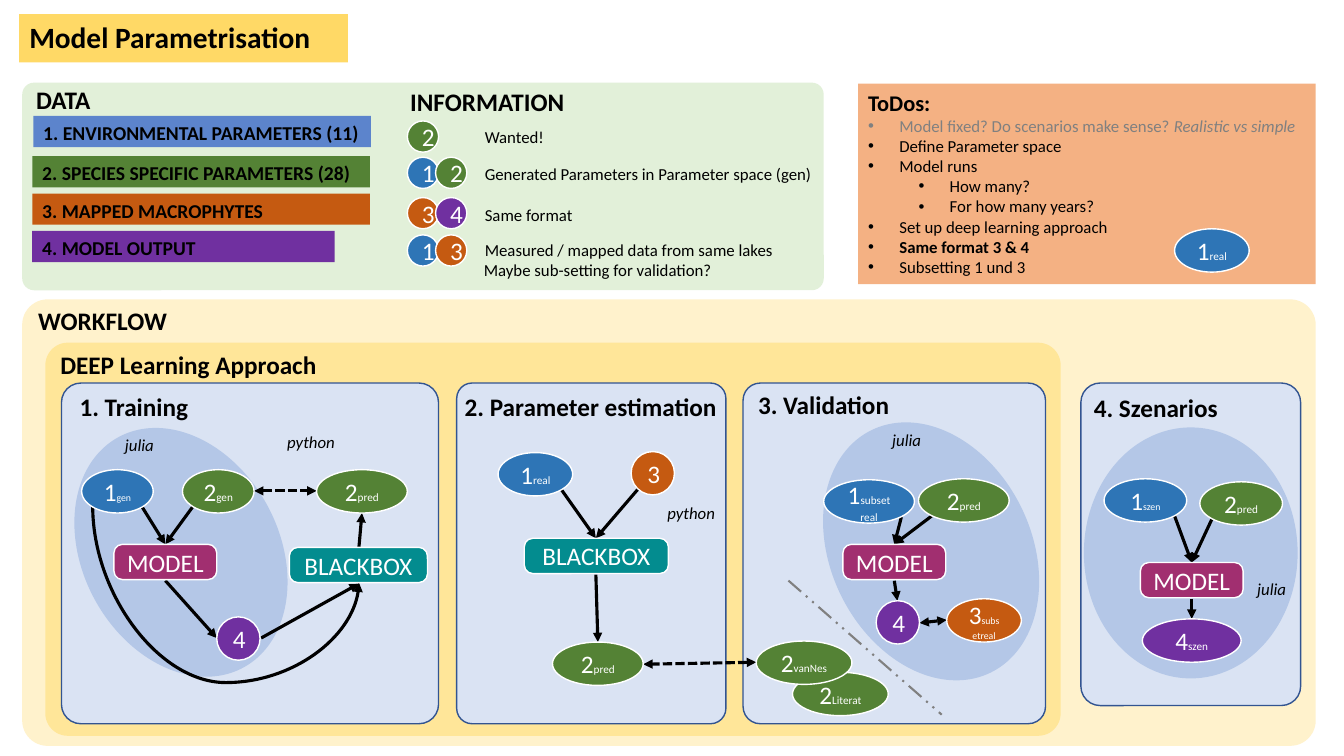
"""Build the model parametrisation slide with its data, tasks and workflow."""
from typing import NamedTuple, Optional

from pptx import Presentation
from pptx.dml.color import RGBColor
from pptx.enum.dml import MSO_LINE
from pptx.enum.shapes import MSO_CONNECTOR, MSO_SHAPE
from pptx.enum.text import MSO_ANCHOR, MSO_AUTO_SIZE, PP_ALIGN
from pptx.oxml.ns import qn
from pptx.util import Inches, Pt
from lxml.etree import SubElement

BLUE, GREEN, RUST, PURPLE = "2E75B6", "548235", "C55A11", "7030A0"
TEAL, PLUM, PALE, CLOUD = "038C8F", "A12F70", "DAE3F3", "B4C7E7"
BLACK, WHITE, GREY, NAVY = "000000", "FFFFFF", "808080", "325491"
HUES = {"1": BLUE, "2": GREEN, "3": RUST, "4": PURPLE}


class Panel(NamedTuple):
    x: float
    y: float
    w: float
    h: float
    fill: str
    edge: Optional[str] = None
    curve: float = 0.057


class Cloud(NamedTuple):
    x: float
    y: float
    w: float
    h: float
    turn: float = 0


class Bar(NamedTuple):
    x: float
    y: float
    w: float
    text: str
    fill: str


class Label(NamedTuple):
    x: float
    y: float
    w: float
    text: str
    size: int = 18
    bold: bool = False
    slant: bool = False


class Node(NamedTuple):
    x: float
    y: float
    w: float
    num: str
    sub: str = ""
    small: int = 8
    h: float = 0.43


class Box(NamedTuple):
    x: float
    y: float
    w: float
    text: str
    fill: str


class Link(NamedTuple):
    x: float
    y: float
    to_x: float
    to_y: float
    both: bool = False


class Task(NamedTuple):
    text: str
    level: int = 0
    bold: bool = False
    hue: str = BLACK
    tail: str = ""


def paint(code: str) -> RGBColor:
    return RGBColor.from_string(code)


def write(para, text: str, size: float, hue: str = BLACK, bold: bool = False, slant: bool = False) -> None:
    run = para.add_run()
    run.text = text
    font = run.font
    font.name, font.size, font.bold, font.italic = "Calibri", Pt(size), bold, slant
    font.color.rgb = paint(hue)


def place(shape, x: float, y: float, w: float, h: float) -> None:
    shape.left, shape.top, shape.width, shape.height = map(Inches, (x, y, w, h))


def draw(kind, x: float, y: float, w: float, h: float, fill: str, edge: Optional[str] = None):
    shape = slide.shapes.add_shape(kind, *map(Inches, (x, y, w, h)))
    shape.shadow.inherit = False
    shape.fill.solid()
    shape.fill.fore_color.rgb = paint(fill)
    if edge:
        shape.line.color.rgb = paint(edge)
        shape.line.width = Pt(1)
    else:
        shape.line.fill.background()
    return shape


def add_panel(p: Panel) -> None:
    shape = draw(MSO_SHAPE.ROUNDED_RECTANGLE, p.x, p.y, p.w, p.h, p.fill, p.edge)
    shape.adjustments[0] = p.curve


def add_bar(b: Bar) -> None:
    frame = draw(MSO_SHAPE.RECTANGLE, b.x, b.y, b.w, 0.31, b.fill).text_frame
    frame.vertical_anchor = MSO_ANCHOR.TOP
    frame.paragraphs[0].alignment = PP_ALIGN.LEFT
    write(frame.paragraphs[0], b.text, 14, bold=True)


def add_label(b: Label) -> None:
    high = 0.4 if b.size == 18 else 0.3
    frame = slide.shapes.add_textbox(*map(Inches, (b.x, b.y, b.w, high))).text_frame
    frame.word_wrap = False
    frame.auto_size = MSO_AUTO_SIZE.SHAPE_TO_FIT_TEXT
    write(frame.paragraphs[0], b.text, b.size, BLACK, b.bold, b.slant)


def centre(shape):
    shape.text_frame.vertical_anchor = MSO_ANCHOR.MIDDLE
    para = shape.text_frame.paragraphs[0]
    para.alignment = PP_ALIGN.CENTER
    return para


def add_node(n: Node) -> None:
    para = centre(draw(MSO_SHAPE.OVAL, n.x, n.y, n.w, n.h, HUES[n.num], WHITE))
    write(para, n.num, 18, WHITE)
    if n.sub:
        write(para, n.sub, n.small, WHITE)


def add_box(b: Box) -> None:
    shape = draw(MSO_SHAPE.ROUNDED_RECTANGLE, b.x, b.y, b.w, 0.35, b.fill, WHITE)
    shape.adjustments[0] = 0.243
    write(centre(shape), b.text, 18, WHITE)


def add_link(k: Link, kind=MSO_CONNECTOR.STRAIGHT, hue: str = BLACK, wide: float = 2.25, dash=None, ends=("tailEnd",)):
    link = slide.shapes.add_connector(kind, *map(Inches, k[:4]))
    link.line.color.rgb = paint(hue)
    link.line.width = Pt(wide)
    if k.both:
        dash, ends = MSO_LINE.SQUARE_DOT, ("headEnd", "tailEnd")
    if dash:
        link.line.dash_style = dash
    props = link.element.spPr
    for end in ends:
        SubElement(props.find(qn("a:ln")), qn(f"a:{end}")).set("type", "triangle")
    SubElement(props, qn("a:effectLst"))
    return link


def add_loop() -> None:
    props = add_link(Link(1.86, 4.08, 2.62, 6.72), MSO_CONNECTOR.CURVE).element.spPr
    frame = props.find(qn("a:xfrm"))
    frame.set("rot", "16200000")
    frame.set("flipH", "1")
    shape = props.find(qn("a:prstGeom"))
    guides = shape.find(qn("a:avLst"))
    if guides is None:
        guides = SubElement(shape, qn("a:avLst"))
    guide = SubElement(guides, qn("a:gd"))
    guide.set("name", "adj1")
    guide.set("fmla", "val 230600")


def add_task(frame, t: Task) -> None:
    para = frame.add_paragraph()
    para.level = t.level
    para.space_before = Pt(0)
    props = para._p.get_or_add_pPr()
    props.set("marL", str(Inches(0.31 + t.level / 2)))
    props.set("indent", str(-Inches(0.31)))
    SubElement(props, qn("a:buFont")).set("typeface", "Arial")
    SubElement(props, qn("a:buChar")).set("char", "•")
    write(para, t.text, 12, t.hue, t.bold)
    if t.tail:
        write(para, t.tail, 12, t.hue, slant=True)


def fill_holder(shape, spot, fill: str, text: str, size: int):
    place(shape, *spot)
    shape.fill.solid()
    shape.fill.fore_color.rgb = paint(fill)
    frame = shape.text_frame
    frame.word_wrap, frame.auto_size = True, MSO_AUTO_SIZE.NONE
    frame.vertical_anchor = MSO_ANCHOR.TOP
    para = frame.paragraphs[0]
    para.alignment, para.space_before = PP_ALIGN.LEFT, Pt(0)
    props = para._p.get_or_add_pPr()
    props.set("marL", "0")
    props.set("indent", "0")
    SubElement(props, qn("a:buNone"))
    write(para, text, size, bold=True)
    return frame


deck = Presentation()
deck.slide_width, deck.slide_height = Inches(13.33), Inches(7.5)
slide = deck.slides.add_slide(deck.slide_layouts[1])
fill_holder(slide.shapes.title, (0.19, 0.14, 3.26, 0.48), "FFD966", "Model Parametrisation", 21)
todo = fill_holder(slide.placeholders[1], (8.51, 0.83, 4.54, 1.99), "F4B183", "ToDos:", 16)
for task in (
    Task("Model fixed? Do scenarios make sense? ", hue=GREY, tail="Realistic vs simple "),
    Task("Define Parameter space"), Task("Model runs "), Task("How many? ", 1),
    Task("For how many years?", 1), Task("Set up deep learning approach"),
    Task("Same format 3 & 4", bold=True), Task("Subsetting 1 und 3"),
):
    add_task(todo, task)

for panel in (
    Panel(0.22, 2.97, 12.83, 4.43, "FFF2CC"), Panel(0.22, 0.82, 7.95, 2.06, "E2F0D9"),
    Panel(0.45, 3.4, 10.07, 3.9, "FFE699"), Panel(0.61, 3.8, 3.74, 3.38, PALE, NAVY),
    Panel(4.53, 3.8, 2.67, 3.38, PALE, NAVY), Panel(7.37, 3.8, 3, 3.38, PALE, NAVY),
    Panel(10.72, 3.8, 2.18, 3.2, PALE, NAVY, 0.088),
):
    add_panel(panel)
for cloud in (Cloud(0.82, 4.18, 1.95, 2.6, 331.6), Cloud(8.24, 4.13, 1.99, 2.68, 333.7), Cloud(10.75, 4.24, 2.12, 2.49)):
    draw(MSO_SHAPE.OVAL, *cloud[:4], CLOUD).rotation = cloud.turn
for bar in (
    Bar(0.33, 1.15, 3.35, "1. ENVIRONMENTAL PARAMETERS (11)", "5C84CC"),
    Bar(0.32, 1.55, 3.35, "2. SPECIES SPECIFIC PARAMETERS (28)", GREEN),
    Bar(0.32, 1.92, 3.35, "3. MAPPED MACROPHYTES", RUST), Bar(0.32, 2.29, 3, "4. MODEL OUTPUT", PURPLE),
):
    add_bar(bar)
for spot in (
    (0.26, 0.79, 0.75, "DATA"), (3.97, 0.81, 1.74, "INFORMATION"), (0.28, 2.98, 1.49, "WORKFLOW"),
    (0.5, 3.42, 2.76, "DEEP Learning Approach"), (0.69, 3.83, 1.29, "1. Training"),
    (4.51, 3.83, 2.72, "2. Parameter estimation"), (7.42, 3.81, 1.51, "3. Validation"),
    (10.75, 3.84, 1.44, "4. Szenarios"),
):
    add_label(Label(*spot, bold=True))
for spot in (
    (4.71, 1.21, 0.79, "Wanted!"), (4.71, 1.58, 3.54, "Generated Parameters in Parameter space (gen)"),
    (4.71, 1.98, 1.08, "Same format"), (4.71, 2.33, 3.09, "Measured / mapped data from same lakes"),
    (4.7, 2.53, 2.48, "Maybe sub-setting for validation?"),
):
    add_label(Label(*spot, size=12))
for spot in (
    (1.14, 4.26, 0.49, "julia"), (2.75, 4.23, 0.68, "python"), (6.52, 4.94, 0.68, "python"),
    (8.75, 4.21, 0.49, "julia"), (12.37, 5.69, 0.49, "julia"),
):
    add_label(Label(*spot, size=12, slant=True))

add_loop()
for link in (
    Link(1.91, 5.03, 1.64, 5.4), Link(1.41, 5.03, 1.64, 5.4), Link(1.64, 5.76, 2.15, 6.33),
    Link(2.59, 6.33, 3.56, 5.79), Link(3.56, 5.43, 3.59, 5.09), Link(2.52, 4.87, 3.14, 4.87, True),
    Link(5.57, 4.86, 5.91, 5.34), Link(6.33, 4.85, 5.91, 5.34), Link(5.91, 5.7, 5.93, 6.37),
    Link(7.5, 6.57, 6.38, 6.59, True), Link(9.24, 5.12, 8.87, 5.4), Link(8.94, 5.13, 8.87, 5.4),
    Link(8.87, 5.76, 8.9, 5.96), Link(9.12, 6.18, 9.39, 6.15, True), Link(11.65, 5.12, 11.82, 5.58),
    Link(12.02, 5.15, 11.82, 5.58), Link(11.82, 5.94, 11.82, 6.14),
):
    add_link(link)
for y, nums in ((1.2, "2"), (1.56, "12"), (1.96, "34"), (2.33, "13")):
    for i, num in enumerate(nums):
        add_node(Node(4.04 + 0.28 * i, y, 0.31, num, h=0.31))
for node in (
    Node(1.81, 4.66, 0.71, "2", "gen"), Node(0.81, 4.66, 0.71, "1", "gen", 7), Node(2.15, 6.12, 0.43, "4"),
    Node(3.14, 4.66, 0.9, "2", "pred"), Node(4.94, 4.49, 0.74, "1", "real"), Node(6.26, 4.48, 0.43, "3"),
    Node(5.48, 6.37, 0.9, "2", "pred"), Node(7.86, 6.67, 0.95, "2", "Literat"),
    Node(7.5, 6.36, 0.95, "2", "vanNes"), Node(8.69, 5.96, 0.43, "4"),
    Node(9.39, 5.94, 0.74, "3", "subsetreal", 7), Node(9.11, 4.75, 0.9, "2", "pred"),
    Node(8.17, 4.76, 0.9, "1", "subsetreal"), Node(11.33, 6.14, 0.98, "4", "szen"),
    Node(11.9, 4.78, 0.82, "2", "pred"), Node(10.95, 4.75, 0.82, "1", "szen", 7),
    Node(11.65, 2.27, 0.74, "1", "real"),
):
    add_node(node)
for x, y in ((1.13, 5.4), (8.36, 5.4), (11.31, 5.58)):
    add_box(Box(x, y, 1.02, "MODEL", PLUM))
for x, y, w in ((2.87, 5.43, 1.37), (5.2, 5.34, 1.43)):
    add_box(Box(x, y, w, "BLACKBOX", TEAL))
add_link(Link(7.82, 5.76, 9.34, 7.09), hue=GREY, wide=1.5, dash=MSO_LINE.DASH_DOT_DOT, ends=())
deck.save("out.pptx")
